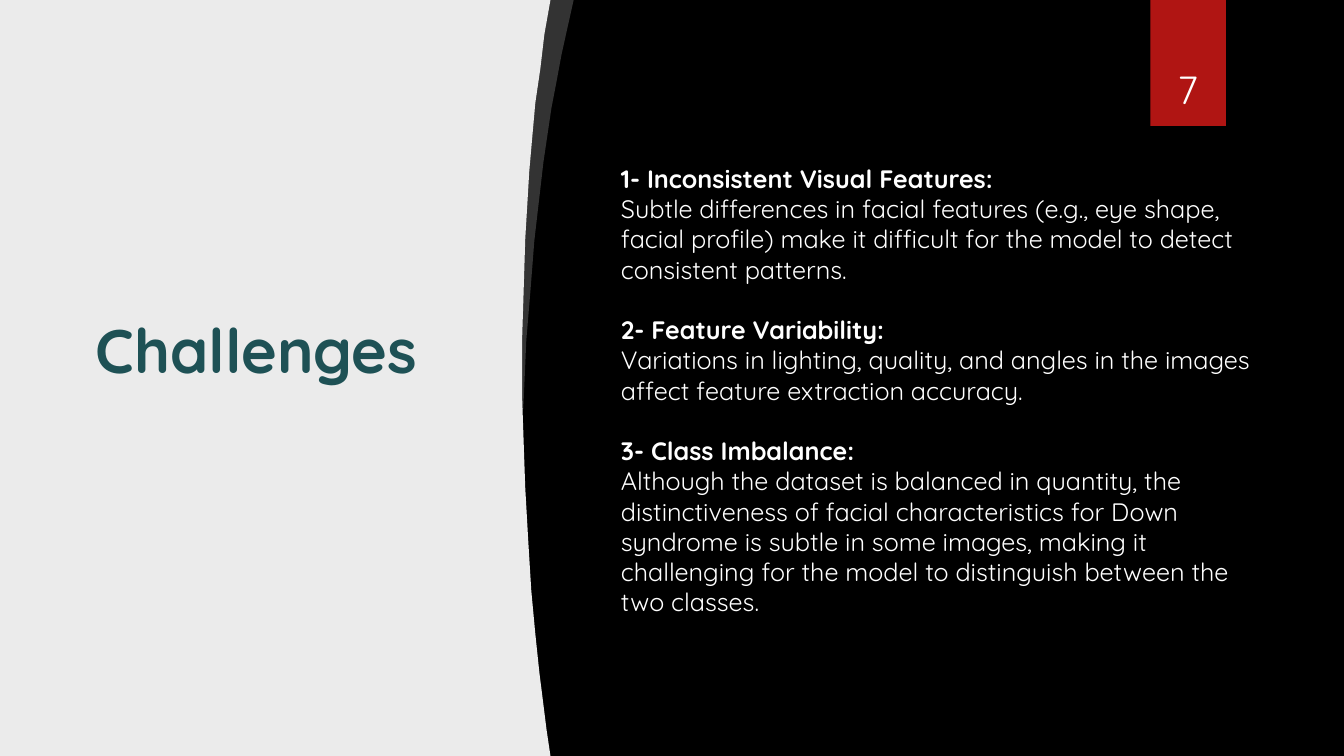
from lxml import etree
from pptx import Presentation
from pptx.dml.color import RGBColor
from pptx.enum.shapes import MSO_SHAPE as SHAPE
from pptx.enum.text import MSO_ANCHOR as ANCHOR, MSO_AUTO_SIZE as FIT, PP_ALIGN as ALIGN
from pptx.oxml.ns import qn
from pptx.util import Inches, Pt

FONT = "Quicksand"
WHITE, BLACK, PANEL, RED, TEAL = "FFFFFF", "000000", "EBEBEB", "B01513", "1E5155"
BODY_SIZE = 18
LINE_GAP = 21.6

PANEL_EDGE = [
    (5.46, 0), (5.4, 0.34), (5.36, 0.68), (5.31, 1.02), (5.28, 1.36), (5.25, 1.7),
    (5.23, 2.04), (5.21, 2.37), (5.2, 2.7), (5.19, 3.02), (5.18, 3.34), (5.18, 3.96),
    (5.19, 4.26), (5.2, 4.55), (5.21, 4.84), (5.24, 5.37), (5.27, 5.86), (5.31, 6.29),
    (5.35, 6.67), (5.39, 6.99), (5.42, 7.23), (5.46, 7.5),
]
RIM_EDGE = [
    (5.69, 0), (5.63, 0.27), (5.57, 0.54), (5.52, 0.81), (5.47, 1.07), (5.43, 1.34),
    (5.39, 1.61), (5.36, 1.87), (5.33, 2.13), (5.3, 2.39), (5.28, 2.65), (5.26, 2.9),
    (5.24, 3.14), (5.22, 3.38), (5.21, 3.61), (5.2, 3.84), (5.19, 4.06),
]
RIM_BACK = [(5.12, 4.02), (5.08, 3), (5.1, 1.5), (5.17, 0)]

CHALLENGES = [
    ("1- Inconsistent Visual Features:",
     "Subtle differences in facial features (e.g., eye shape, facial profile) make it "
     "difficult for the model to detect consistent patterns."),
    ("2- Feature Variability:",
     "Variations in lighting, quality, and angles in the images affect feature "
     "extraction accuracy."),
    ("3- Class Imbalance:",
     "Although the dataset is balanced in quantity, the distinctiveness of facial "
     "characteristics for Down syndrome is subtle in some images, making it challenging "
     "for the model to distinguish between the two classes."),
]


def rgb(value):
    return RGBColor.from_string(value)


def paint(sp, color):
    sp.fill.solid()
    sp.fill.fore_color.rgb = rgb(color)
    sp.line.fill.background()
    sp.shadow.inherit = False


def place(sp, x, y, w, h):
    sp.left, sp.top, sp.width, sp.height = map(Inches, (x, y, w, h))


def add_text(p, text, size, color=WHITE, bold=False):
    r = p.add_run()
    r.text = text
    r.font.name, r.font.size, r.font.bold = FONT, Pt(size), bold
    r.font.color.rgb = rgb(color)


def add_outline(s, x, y, points, color):
    start, *rest = [(Inches(x + px), Inches(y + py)) for px, py in points]
    builder = s.shapes.build_freeform(*start)
    builder.add_line_segments(rest)
    sp = builder.convert_to_shape()
    paint(sp, color)
    return sp


def add_panel(s, x, y, h):
    rim = add_outline(s, x, y, RIM_EDGE + RIM_BACK, WHITE)
    tint = rim._element.spPr.find(qn("a:solidFill"))[0]
    etree.SubElement(tint, qn("a:alpha"), val="20000")
    add_outline(s, x, y, PANEL_EDGE + [(0, h), (0, 0)], PANEL)


def add_title(s, x, y, w, h):
    sp = s.shapes.title
    s.shapes._spTree.append(sp._element)
    place(sp, x, y, w, h)
    tf = sp.text_frame
    tf.word_wrap, tf.auto_size, tf.vertical_anchor = True, FIT.NONE, ANCHOR.TOP
    p = tf.paragraphs[0]
    p.alignment = ALIGN.CENTER
    add_text(p, "Challenges", 44, TEAL, True)


def add_page_tab(s, x, y, w, h, number):
    tab = s.shapes.add_shape(SHAPE.RECTANGLE, *map(Inches, (x, y, w, h)))
    paint(tab, RED)
    label = s.shapes.add_textbox(*map(Inches, (x - 0.09, y + 0.32, w + 0.17, h - 0.41)))
    tf = label.text_frame
    tf.word_wrap, tf.vertical_anchor = True, ANCHOR.BOTTOM
    p = tf.paragraphs[0]
    p.alignment = ALIGN.CENTER
    add_text(p, number, 28)


def add_challenges(s, x, y, w, h):
    tf = s.shapes.add_textbox(*map(Inches, (x, y, w, h))).text_frame
    tf.word_wrap = True
    for i, (heading, detail) in enumerate(CHALLENGES):
        p = tf.add_paragraph() if i else tf.paragraphs[0]
        if i:
            p.space_before = Pt(LINE_GAP)
        add_text(p, heading, BODY_SIZE, bold=True)
        add_text(tf.add_paragraph(), detail, BODY_SIZE)


def main():
    prs = Presentation()
    prs.slide_width, prs.slide_height = Inches(13.33), Inches(7.5)
    s = prs.slides.add_slide(prs.slide_layouts[5])
    s.background.fill.solid()
    s.background.fill.fore_color.rgb = rgb(BLACK)
    add_panel(s, 0, 0, 7.5)
    add_page_tab(s, 11.41, 0, 0.75, 1.25, "7")
    add_title(s, 0.42, 3.04, 4.25, 2.03)
    add_challenges(s, 6.06, 1.57, 6.66, 4.64)
    prs.save("out.pptx")


if __name__ == "__main__":
    main()
